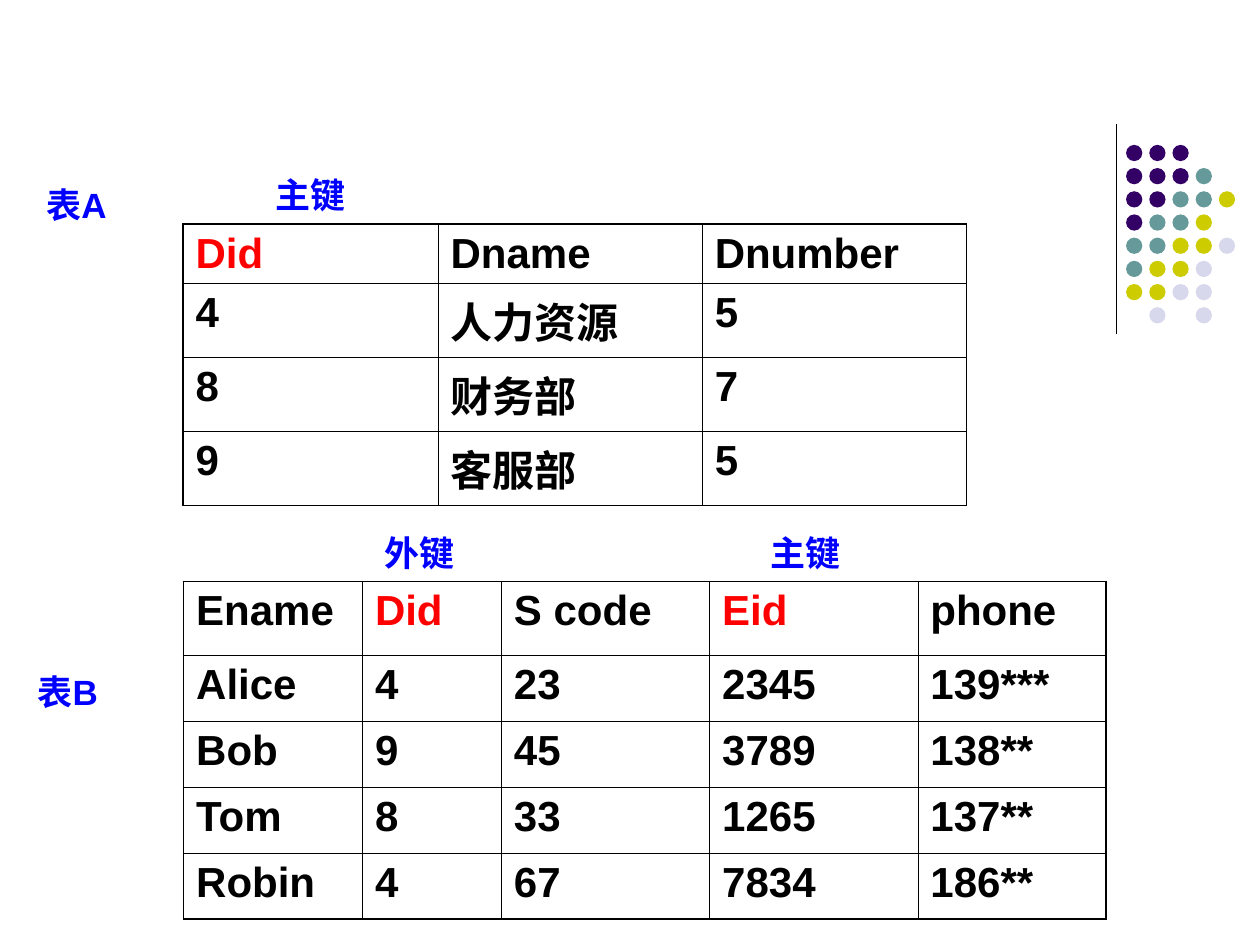
from lxml import etree
from pptx import Presentation
from pptx.dml.color import RGBColor
from pptx.enum.shapes import MSO_CONNECTOR, MSO_SHAPE
from pptx.oxml.ns import qn
from pptx.util import Pt

LINE = MSO_CONNECTOR.STRAIGHT
OVAL = MSO_SHAPE.OVAL
BLACK, RED, BLUE = "000000", "FF0000", "0000FF"
THIN, THICK = 0.45, 1.08
KEYS = ("Did", "Eid")

DOTS = ["PPP", "PPPT", "PPTTY", "PTTY", "TTYYL", "TYYL", "YYLL", " L L"]
HUES = {"P": "330066", "T": "669999", "Y": "CCCC00", "L": "D8D8EC"}

DEPTS = [
    ["Did", "Dname", "Dnumber"],
    ["4", "人力资源", "5"],
    ["8", "财务部", "7"],
    ["9", "客服部", "5"],
]
STAFF = [
    ["Ename", "Did", "S code", "Eid", "phone"],
    ["Alice", "4", "23", "2345", "139***"],
    ["Bob", "9", "45", "3789", "138**"],
    ["Tom", "8", "33", "1265", "137**"],
    ["Robin", "4", "67", "7834", "186**"],
]
LABELS = [
    ("表A", 19.4, 94.3, 57),
    ("表B", 14.4, 372.2, 62.6),
    ("主键", 150.5, 88.6, 57),
    ("外键", 212.4, 293, 57),
    ("主键", 433.4, 293, 57),
]


def color(code):
    return RGBColor.from_string(code)


def add_run(para, text, size, hue):
    run = para.add_run()
    run.text = text
    font = run.font
    font.name = "Arial"
    font.size = Pt(size)
    font.bold = True
    font.color.rgb = color(hue)


def add_rule(slide, x, top, end):
    rule = slide.shapes.add_connector(LINE, Pt(x), Pt(top), Pt(x), Pt(end))
    rule.line.color.rgb = color(BLACK)
    rule.line.width = Pt(0.75)
    etree.SubElement(rule._element.spPr, qn("a:effectLst"))


def add_dots(slide, left, top, step, size):
    group = slide.shapes.add_group_shape()
    for row, marks in enumerate(DOTS):
        for col, mark in enumerate(marks):
            if mark == " ":
                continue
            dot = group.shapes.add_shape(
                OVAL, Pt(left + col * step), Pt(top + row * step),
                Pt(size), Pt(size))
            dot.shadow.inherit = False
            dot.fill.solid()
            dot.fill.fore_color.rgb = color(HUES[mark])
            dot.line.fill.background()


def add_label(slide, text, left, top, width):
    box = slide.shapes.add_textbox(Pt(left), Pt(top), Pt(width), Pt(51))
    box.text_frame.word_wrap = True
    para = box.text_frame.paragraphs[0]
    para.line_spacing = 1.3
    para.space_before = Pt(5)
    props = para._p.get_or_add_pPr()
    props.set("marL", str(Pt(27)))
    props.set("indent", str(Pt(-27)))
    add_run(para, text, 20, BLUE)


def set_edges(cell, widths):
    props = cell._tc.get_or_add_tcPr()
    for spot, (side, width) in enumerate(zip("LRTB", widths)):
        edge = etree.Element(qn("a:ln" + side), w=str(Pt(width)))
        fill = etree.SubElement(edge, qn("a:solidFill"))
        etree.SubElement(fill, qn("a:srgbClr"), val=BLACK)
        props.insert(spot, edge)


def add_grid(slide, data, left, top, cols, head, body):
    rows = [head] + [body] * (len(data) - 1)
    frame = slide.shapes.add_table(
        len(rows), len(cols), Pt(left), Pt(top), Pt(sum(cols)), Pt(sum(rows)))
    table = frame.table
    table.first_row = False
    table.horz_banding = False
    for col, width in zip(table.columns, cols):
        col.width = Pt(width)
    for row, height in zip(table.rows, rows):
        row.height = Pt(height)
    for r, line in enumerate(data):
        for c, text in enumerate(line):
            cell = table.cell(r, c)
            cell.fill.background()
            outer = (c == 0, c == len(cols) - 1, r == 0, r == len(rows) - 1)
            set_edges(cell, [THICK if edge else THIN for edge in outer])
            para = cell.text_frame.paragraphs[0]
            para.space_before = Pt(6)
            add_run(para, text, 24, RED if text in KEYS else BLACK)


def main():
    deck = Presentation()
    deck.slide_width = Pt(720)
    deck.slide_height = Pt(540)
    slide = deck.slides.add_slide(deck.slide_layouts[6])
    add_rule(slide, 638, 70.7, 190.7)
    add_dots(slide, 643.5, 82.8, 13.25, 9.3)
    add_grid(slide, DEPTS, 104.6, 128, [145.7, 151, 151], 34, 42.3)
    add_grid(slide, STAFF, 104.9, 332.3, [102.2, 79.4, 119, 119, 107.7],
             42.3, 37.7)
    for label in LABELS:
        add_label(slide, *label)
    deck.save("out.pptx")


if __name__ == "__main__":
    main()
